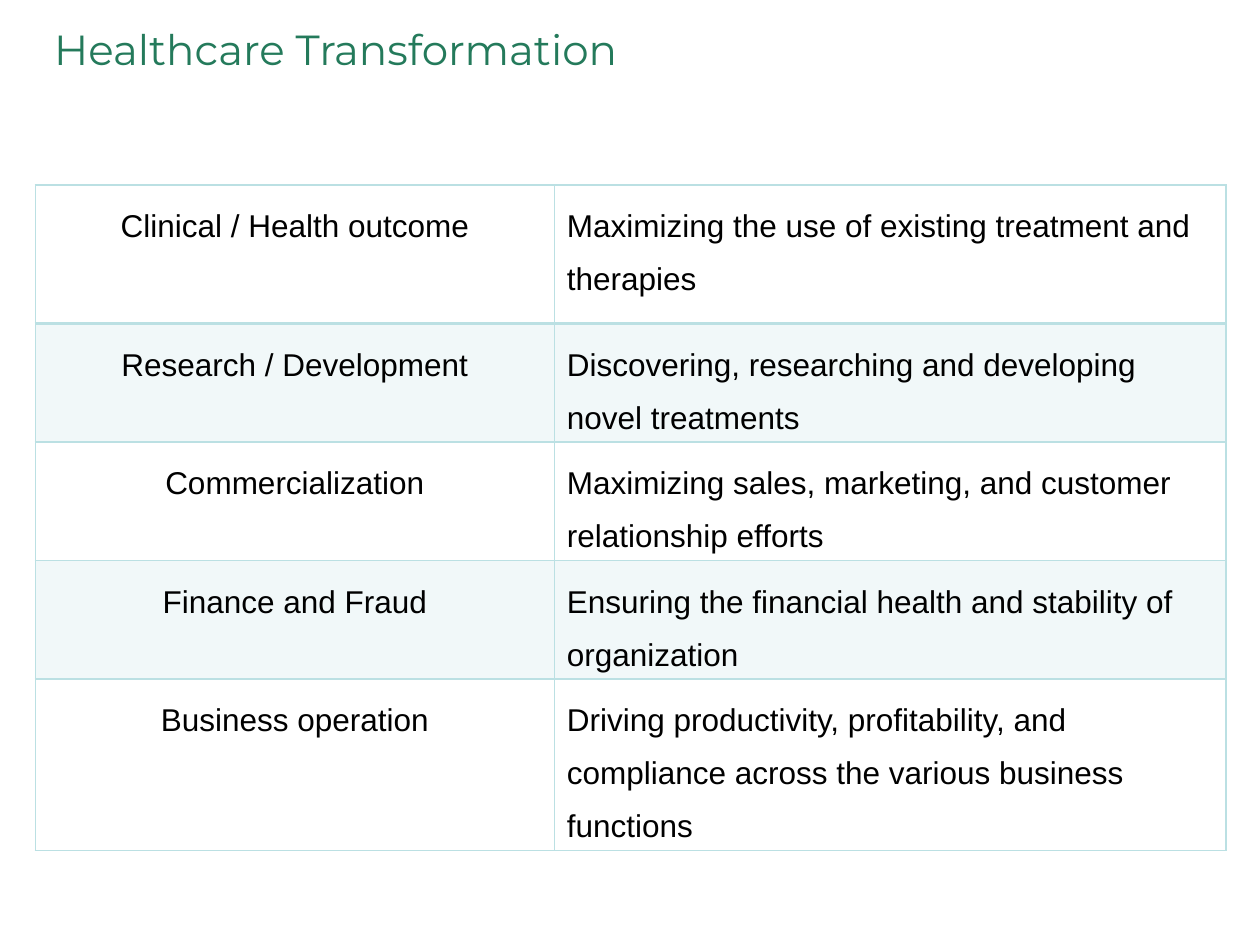
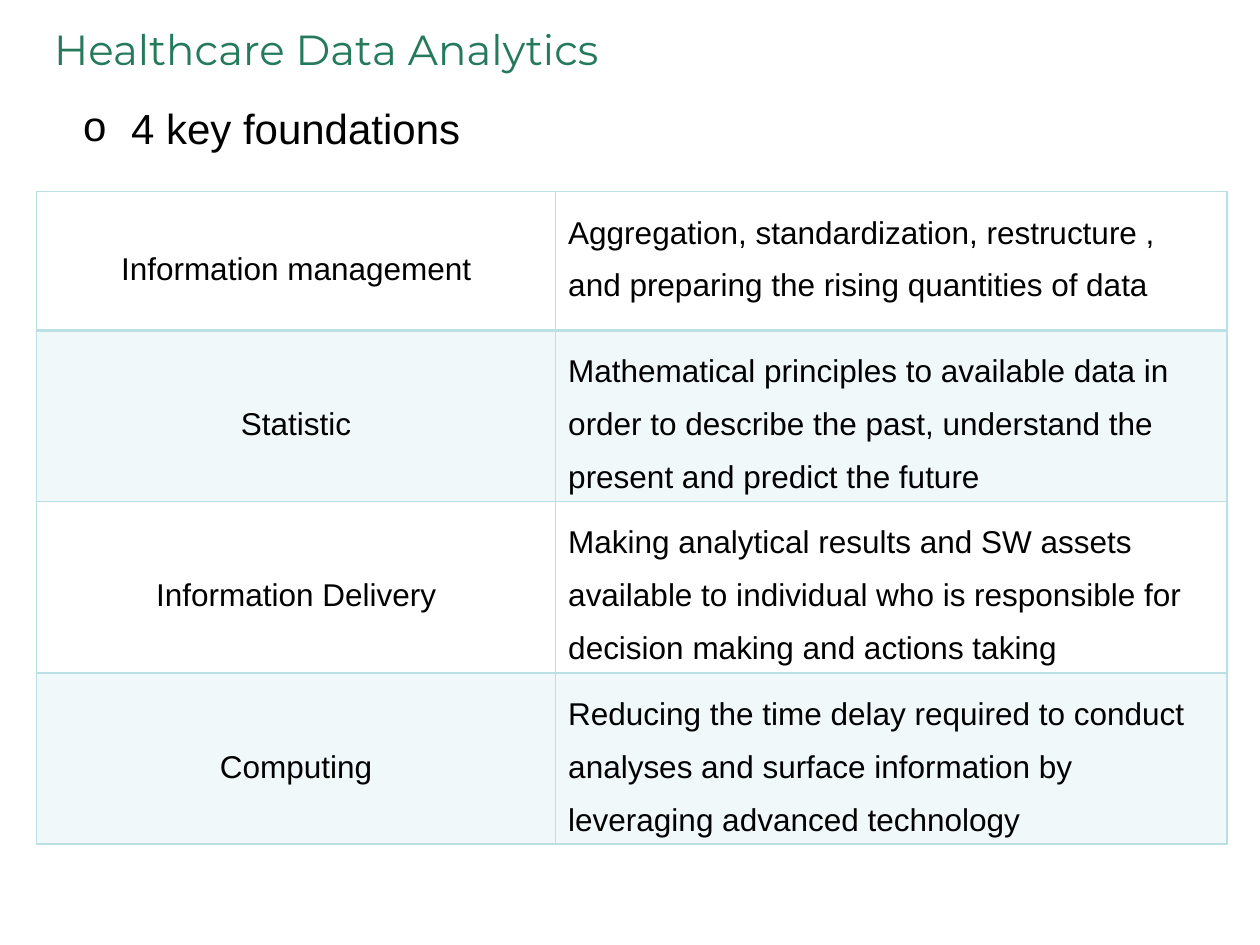
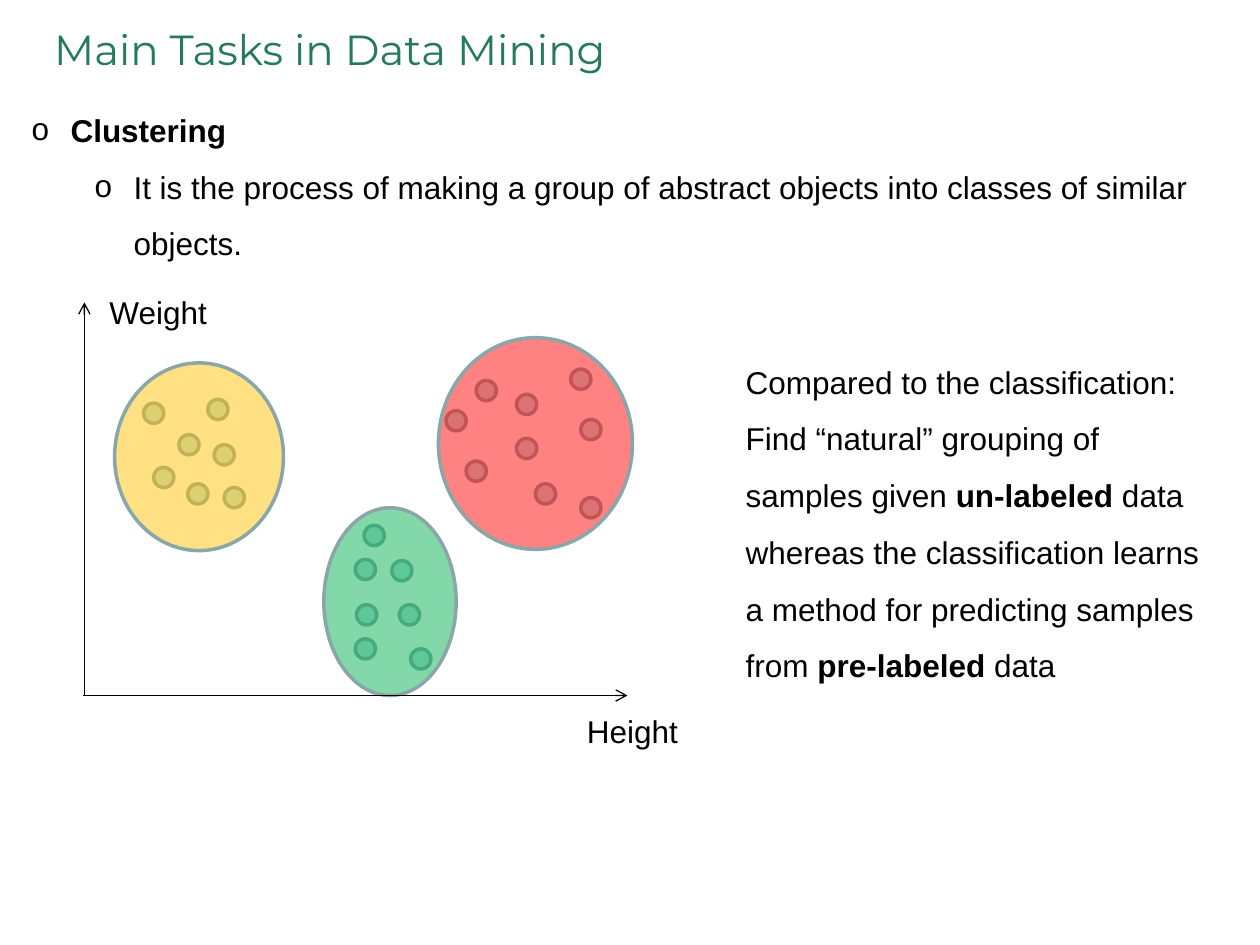
"""Build three slides on healthcare data analytics and clustering."""
from lxml.etree import SubElement as Sub
from pptx import Presentation
from pptx.dml.color import RGBColor
from pptx.enum.shapes import MSO_CONNECTOR as Link, MSO_SHAPE as Form
from pptx.enum.text import MSO_ANCHOR as Anchor, MSO_AUTO_SIZE as Fit, PP_ALIGN as Align
from pptx.oxml.ns import qn
from pptx.util import Inches, Pt

GREEN, BLACK, TEAL, EDGE = "247A5B", "000000", "BBE0E3", "8AA6A8"
hue = RGBColor.from_string


def paint(fill, tone, alpha=100):
    """Fill with a solid tone of the given opacity in percent."""
    fill.solid()
    fill.fore_color.rgb = hue(tone)
    if alpha < 100:
        node = fill._xPr.find(qn("a:solidFill"))[0]
        Sub(node, qn("a:alpha"), val=str(alpha * 1000))


def write(para, text, size=18, tone=BLACK, face="Arial", space=1.5, indent=None, hang=0.31):
    """Write text in a paragraph, with ** around bold parts and an optional bullet."""
    if indent:
        props = para._p.get_or_add_pPr()
        props.set("marL", str(Inches(indent)))
        props.set("indent", str(-Inches(hang)))
        Sub(props, qn("a:buFont"), typeface=face)
        Sub(props, qn("a:buChar"), char="o")
    for i, part in enumerate(text.split("**")):
        if part:
            run = para.add_run()
            run.text = part
            if i % 2:
                run.font.bold = True
    para.line_spacing = space
    para.space_before = Pt(0)
    font = para.font
    font.size, font.name, font.color.rgb = Pt(size), face, hue(tone)


deck = Presentation()
deck.slide_width, deck.slide_height = Inches(10), Inches(7.5)

slides = []
for name, kind in (("Healthcare Transformation", 5), ("Healthcare Data Analytics", 1),
                   ("Main Tasks in Data Mining", 1)):
    slide = deck.slides.add_slide(deck.slide_layouts[kind])
    title = slide.shapes.title
    title.left, title.top, title.width, title.height = map(Inches, (0.33, 0.14, 9.5, 0.8))
    frame = title.text_frame
    frame.auto_size, frame.vertical_anchor = Fit.NONE, Anchor.TOP
    write(frame.paragraphs[0], name, 24, GREEN, "Montserrat", 1)
    frame.paragraphs[0].alignment = Align.LEFT
    slides.append(slide)

goals = (
    ("Clinical / Health outcome", "Maximizing the use of existing treatment and therapies", 1.1),
    ("Research / Development", "Discovering, researching and developing novel treatments", 0.94),
    ("Commercialization", "Maximizing sales, marketing, and customer relationship efforts", 0.94),
    ("Finance and Fraud", "Ensuring the financial health and stability of organization", 0.94),
    ("Business operation", "Driving productivity, profitability, and compliance across "
     "the various business functions", 1.36),
)
bases = (
    ("Information management", "Aggregation, standardization, restructure , and preparing "
     "the rising quantities of data", 1.1),
    ("Statistic", "Mathematical principles to available data in order to describe the past, "
     "understand the present and predict the future", 1.36),
    ("Information Delivery", "Making analytical results and SW assets available to individual "
     "who is responsible for decision making and actions taking", 1.36),
    ("Computing", "Reducing the time delay required to conduct analyses and surface "
     "information by leveraging advanced technology", 1.36),
)
for slide, rows, left, top, anchor in ((slides[0], goals, 0.28, 1.47, Anchor.TOP),
                                       (slides[1], bases, 0.29, 1.52, Anchor.MIDDLE)):
    high = sum(row[2] for row in rows)
    table = slide.shapes.add_table(len(rows), 2, *map(Inches, (left, top, 9.45, high))).table
    table.first_row = table.horz_banding = False
    table.columns[0].width, table.columns[1].width = Inches(4.12), Inches(5.33)
    for r, row in enumerate(rows):
        table.rows[r].height = Inches(row[2])
        for c in range(2):
            cell = table.cell(r, c)
            write(cell.text_frame.paragraphs[0], row[c])
            if c == 0:
                cell.text_frame.paragraphs[0].alignment = Align.CENTER
                cell.vertical_anchor = anchor
            if r % 2:
                paint(cell.fill, TEAL, 20)
            else:
                cell.fill.background()
            props = cell._tc.get_or_add_tcPr()
            for i, side in enumerate("LRTB"):
                bold = (r, side) in ((0, "B"), (1, "T"))
                line = Sub(props, qn(f"a:ln{side}"), w=str(Pt(2 if bold else 1)))
                Sub(Sub(line, qn("a:solidFill")), qn("a:srgbClr"), val=TEAL)
                props.insert(i, line)

lists = (
    (slides[1], (0.56, 0.76, 3.22, 0.5), (("4 key foundations", 24, 1, 0.38, 0.38),)),
    (slides[2], (0.15, 0.68, 9.53, 1.46), (
        ("**Clustering**", 18, 1.5, 0.31, 0.31),
        ("It is the process of making a group of abstract objects into classes of "
         "similar objects.", 18, 1.5, 0.81, 0.31))),
)
for slide, box, items in lists:
    body = slide.placeholders[1]
    body.left, body.top, body.width, body.height = map(Inches, box)
    frame = body.text_frame
    frame.auto_size = Fit.NONE
    for i, (text, size, space, indent, hang) in enumerate(items):
        para = frame.add_paragraph() if i else frame.paragraphs[0]
        para.level = i
        write(para, text, size, space=space, indent=indent, hang=hang)

groups = (
    ("FFC000", (0.91, 2.88, 1.34, 1.49),
     ((1.14, 3.2), (1.42, 3.45), (1.65, 3.17), (1.22, 3.71), (1.7, 3.53), (1.49, 3.84),
      (1.78, 3.87))),
    ("00B050", (2.57, 4.03, 1.05, 1.49),
     ((2.89, 4.17), (2.83, 4.8), (3.11, 4.45), (2.82, 5.07), (3.17, 4.8), (2.82, 4.44),
      (3.26, 5.15))),
    ("FF0000", (3.48, 2.68, 1.54, 1.68),
     ((3.78, 3.02), (3.54, 3.26), (4.53, 2.93), (3.7, 3.66), (4.61, 3.33), (4.1, 3.13),
      (4.61, 3.95), (4.1, 3.48), (4.25, 3.84))),
)
shapes = slides[2].shapes
for tone, ring, dots in groups:
    ovals = [(TEAL, 100, (*dot, 0.16, 0.16)) for dot in dots] + [(tone, 49, ring)]
    for shade, alpha, box in ovals:
        oval = shapes.add_shape(Form.OVAL, *map(Inches, box))
        oval.shadow.inherit = False
        paint(oval.fill, shade, alpha)
        paint(oval.line.fill, EDGE)
        oval.line.width = Pt(2)

for ends in ((0.67, 5.52, 0.67, 2.4), (0.66, 5.52, 4.98, 5.52)):
    axis = shapes.add_connector(Link.STRAIGHT, *map(Inches, ends))
    paint(axis.line.fill, BLACK)
    axis.line.width = Pt(0.75)
    Sub(axis.line._get_or_add_ln(), qn("a:tailEnd"), type="arrow")
    Sub(axis._element.spPr, qn("a:effectLst"))

notes = (
    ((4.56, 5.6, 0.93, 0.4), False, 1, ("Height",)),
    ((0.77, 2.28, 0.98, 0.4), False, 1, ("Weight",)),
    ((5.82, 2.68, 3.86, 2.83), True, 1.5, (
        "Compared to the classification:",
        "Find “natural” grouping of samples given **un-labeled** data whereas the "
        "classification learns a method for predicting samples from **pre-labeled** data")),
)
for box, wrap, space, texts in notes:
    frame = shapes.add_textbox(*map(Inches, box)).text_frame
    frame.word_wrap = wrap
    for i, text in enumerate(texts):
        para = frame.add_paragraph() if i else frame.paragraphs[0]
        write(para, text, space=space)

deck.save("out.pptx")
